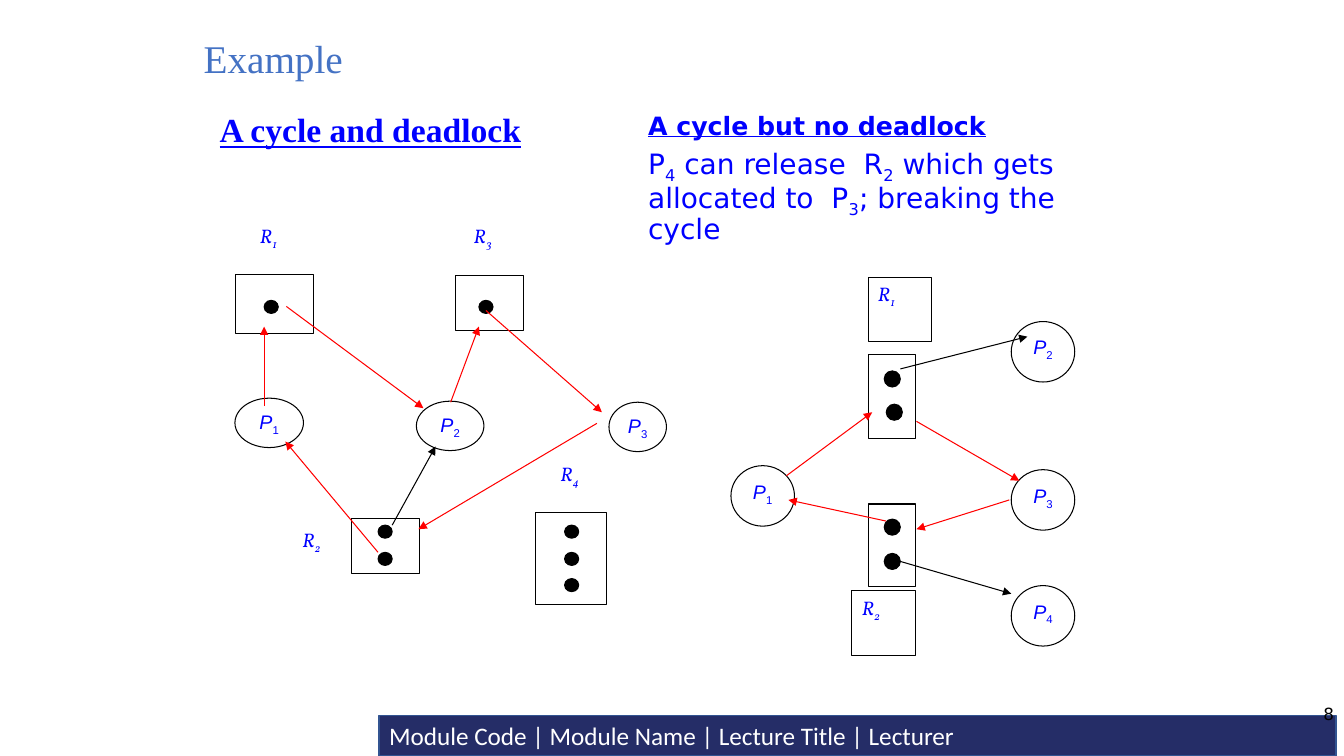
from lxml import etree
from pptx import Presentation
from pptx.dml.color import RGBColor
from pptx.enum.shapes import MSO_CONNECTOR, MSO_SHAPE
from pptx.enum.text import MSO_ANCHOR, PP_ALIGN
from pptx.oxml.ns import qn
from pptx.util import Emu, Pt

PX = 9144  # EMU per px, 100 px to the inch
RECT, OVAL = MSO_SHAPE.RECTANGLE, MSO_SHAPE.OVAL
STRAIGHT = MSO_CONNECTOR.STRAIGHT
TOP, MIDDLE = MSO_ANCHOR.TOP, MSO_ANCHOR.MIDDLE
LEFT, CENTER, RIGHT = PP_ALIGN.LEFT, PP_ALIGN.CENTER, PP_ALIGN.RIGHT

COLORS = {
    "white": "FFFFFF", "black": "000000", "red": "FF0000", "blue": "0000FF",
    "title": "4472C4", "footer": "252D67", "footer_edge": "325491",
}

# Each graph: boxes and nodes as (label, left, top, width, height),
# arrows as (colour, x1, y1, x2, y2), dots as (left, top)
DEADLOCK = {
    "boxes": [("", 531, 508, 71, 92), ("", 349, 514, 67, 55),
              ("", 452, 273, 67, 55), ("", 234, 272, 77, 59)],
    "nodes": [("P_1", 233, 395, 68, 49), ("P_2", 413, 398, 67, 49),
              ("P_3", 604, 399, 57, 49)],
    "arrows": [("red", 375, 548, 283, 438), ("black", 389, 521, 432, 443),
               ("red", 284, 304, 420, 405), ("red", 447, 399, 475, 324),
               ("red", 262, 403, 262, 324), ("red", 482, 308, 597, 409),
               ("red", 592, 420, 415, 525)],
    "dot_size": (14, 13),
    "dots": [(262, 298), (475, 298), (375, 521), (375, 548),
             (560, 521), (560, 548), (560, 574)],
}
NO_DEADLOCK = {
    "boxes": [("", 861, 352, 47, 83), ("", 861, 500, 47, 82),
              ("R_1", 861, 275, 63, 64), ("R_2", 845, 586, 63, 64)],
    "nodes": [("P_1", 725, 462, 63, 60), ("P_2", 1003, 319, 63, 60),
              ("P_3", 1003, 466, 63, 60), ("P_4", 1003, 581, 63, 60)],
    "arrows": [("red", 780, 472, 865, 409), ("red", 879, 517, 782, 496),
               ("black", 893, 366, 1019, 334), ("red", 909, 418, 1011, 477),
               ("red", 1001, 496, 909, 525), ("black", 893, 557, 1003, 589)],
    "dot_size": (16, 16),
    "dots": [(877, 368), (879, 401), (877, 515), (877, 549)],
}
FREE_LABELS = [("R_4", 546, 453), ("R_1", 248, 217), ("R_3", 460, 217), ("R_2", 290, 519)]


def px(*lengths):
    return [Emu(length * PX) for length in lengths]


def rgb(name):
    return RGBColor.from_string(COLORS[name])


def style_run(run, size, font, color, **flags):
    run.font.size = Pt(size)
    run.font.name = font
    run.font.color.rgb = rgb(color)
    for flag, value in flags.items():
        setattr(run.font, flag, value)


def write(paragraph, text, size, font, color, align=LEFT, **flags):
    """Fill a paragraph; the character after each underscore is a subscript."""
    paragraph.alignment = align
    first, *rest = text.split("_")
    pieces = [(first, False)]
    for part in rest:
        pieces += [(part[0], True), (part[1:], False)]
    for piece, is_sub in pieces:
        if piece:
            run = paragraph.add_run()
            run.text = piece
            style_run(run, size, font, color, **flags)
            if is_sub:
                run.font._element.set("baseline", "-25000")
                if align == CENTER:  # process numbers stand upright
                    run.font.italic = False


def add_block(slide, kind, box, fill="white", line="black", weight=0.75):
    block = slide.shapes.add_shape(kind, *px(*box))
    block.shadow.inherit = False
    block.fill.solid()
    block.fill.fore_color.rgb = rgb(fill)
    if line:
        block.line.color.rgb = rgb(line)
        block.line.width = Pt(weight)
    else:
        block.line.fill.background()
    return block


def add_resource(slide, label, box, line="black"):
    resource = add_block(slide, RECT, box, line=line)
    if label:
        frame = resource.text_frame
        frame.vertical_anchor = TOP
        paragraph = frame.paragraphs[0]
        paragraph.space_before = paragraph.space_after = Pt(6)
        write(paragraph, label, 14, "Vollkorn", "blue", italic=True)


def add_process(slide, label, box):
    frame = add_block(slide, OVAL, box).text_frame
    frame.word_wrap = False
    frame.vertical_anchor = TOP
    write(frame.paragraphs[0], label, 14, "Arial", "blue", CENTER, italic=True)


def add_arrow(slide, color, *ends):
    arrow = slide.shapes.add_connector(STRAIGHT, *px(*ends))
    arrow.line.color.rgb = rgb(color)
    arrow.line.width = Pt(0.75)
    etree.SubElement(arrow.line._get_or_add_ln(), qn("a:tailEnd"), type="triangle")
    etree.SubElement(arrow._element.spPr, qn("a:effectLst"))


def add_text(slide, box, anchor=TOP):
    frame = slide.shapes.add_textbox(*px(*box)).text_frame
    frame.word_wrap = True
    frame.vertical_anchor = anchor
    return frame


def add_graph(slide, graph):
    for label, *box in graph["boxes"]:
        add_resource(slide, label, box)
    for label, *box in graph["nodes"]:
        add_process(slide, label, box)
    for left, top in graph["dots"]:
        add_block(slide, OVAL, (left, top, *graph["dot_size"]), fill="black")
    for arrow in graph["arrows"]:
        add_arrow(slide, *arrow)


def add_title(slide):
    title = slide.shapes.title
    title.left, title.top, title.width, title.height = px(192, 32, 942, 57)
    title.text_frame.vertical_anchor = MIDDLE
    heading = title.text_frame.paragraphs[0]
    heading.line_spacing = 0.9
    write(heading, "Example", 28, "Times New Roman", "title")


def add_captions(slide):
    cycle = add_text(slide, (208, 108, 392, 58)).paragraphs[0]
    cycle.line_spacing = 0.9
    write(cycle, "A cycle and deadlock", 24, "Times New Roman", "blue",
          bold=True, underline=True)

    frame = add_text(slide, (633, 108, 467, 117))
    heading, reason = frame.paragraphs[0], frame.add_paragraph()
    for paragraph in (heading, reason):
        paragraph.line_spacing = 0.9
        paragraph.space_before = Pt(4)
    write(heading, "A cycle but no deadlock", 18, "DejaVu Sans", "blue",
          bold=True, underline=True)
    write(reason, "P_4 can release  R_2 which gets allocated to  P_3; breaking the cycle",
          20, "DejaVu Sans", "blue")


def add_footer(slide):
    bar = add_block(slide, RECT, (376, 710, 949, 40), "footer", "footer_edge", 1)
    bar.text_frame.vertical_anchor = MIDDLE
    write(bar.text_frame.paragraphs[0],
          "Module Code | Module Name | Lecture Title | Lecturer", 18, "Calibri", "white")
    number = add_text(slide, (1233, 683, 100, 50), MIDDLE)
    write(number.paragraphs[0], "8", 12, "DejaVu Sans", "black", RIGHT)


def main():
    deck = Presentation()
    deck.slide_width, deck.slide_height = px(1333, 750)
    slide = deck.slides.add_slide(deck.slide_layouts[5])

    # Footer bar, page number and headings
    add_footer(slide)
    add_title(slide)
    add_captions(slide)

    # Resource allocation graphs
    for label, left, top in FREE_LABELS:
        add_resource(slide, label, (left, top, 57, 52), line=None)
    add_graph(slide, DEADLOCK)
    add_graph(slide, NO_DEADLOCK)

    deck.save("out.pptx")


if __name__ == "__main__":
    main()
